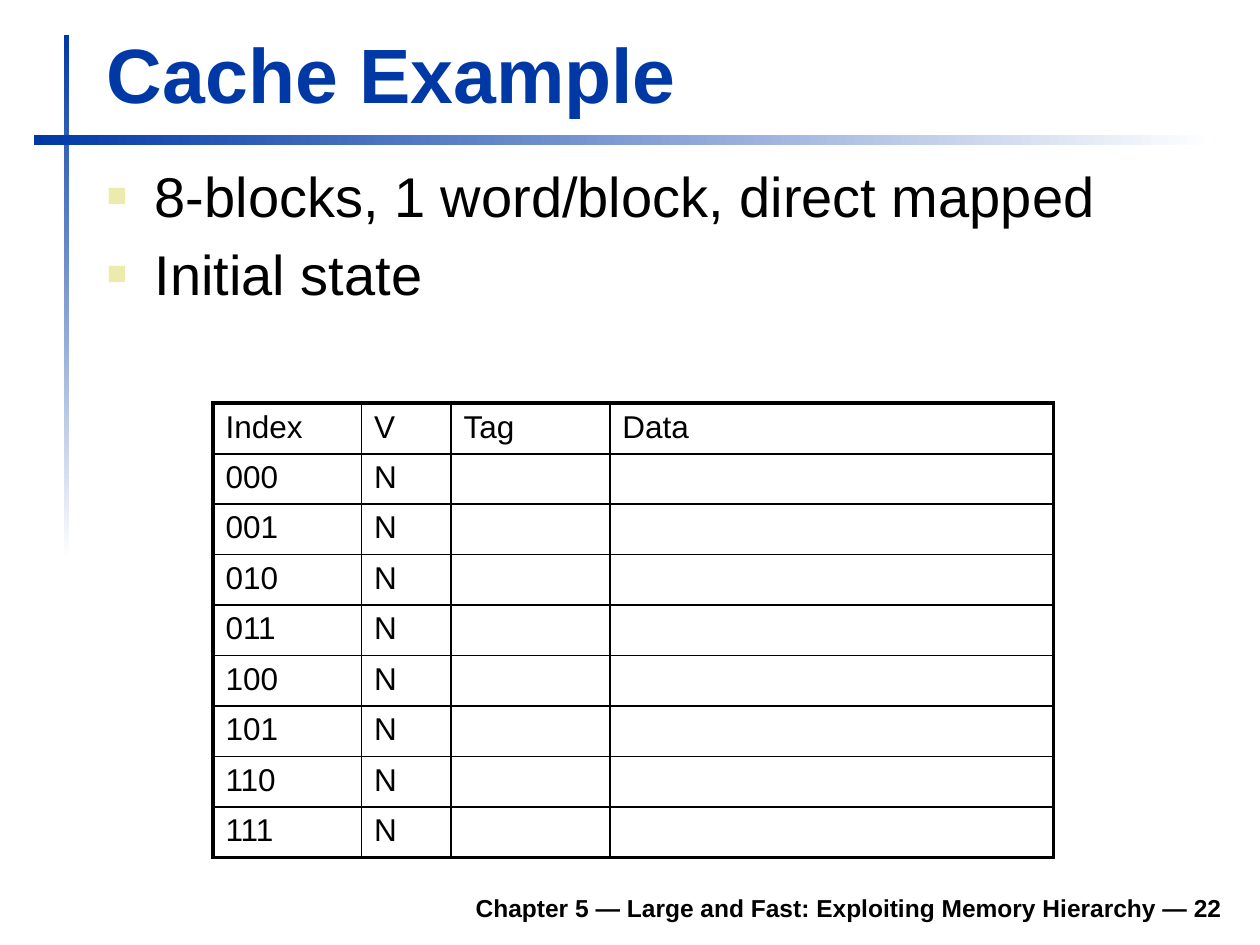
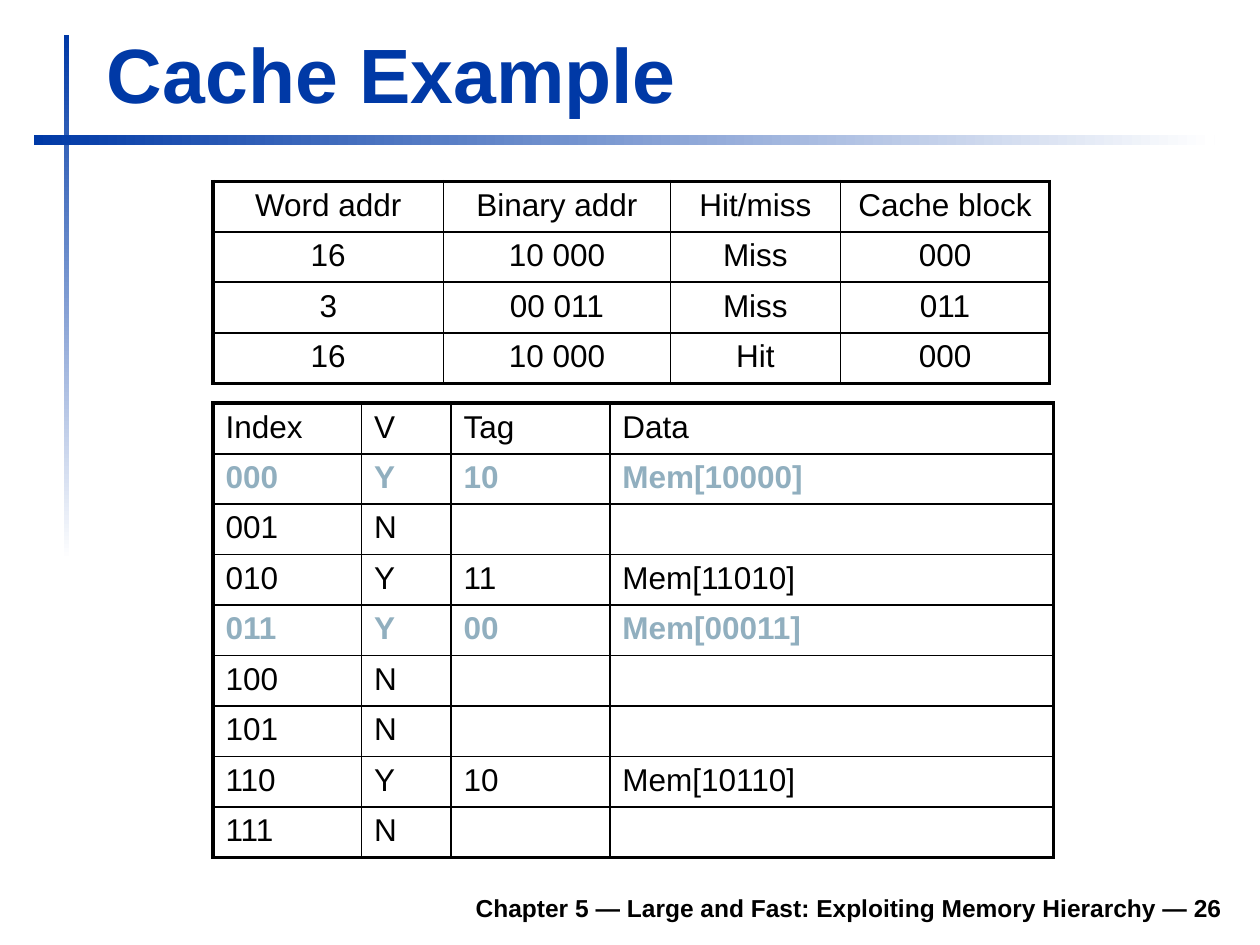
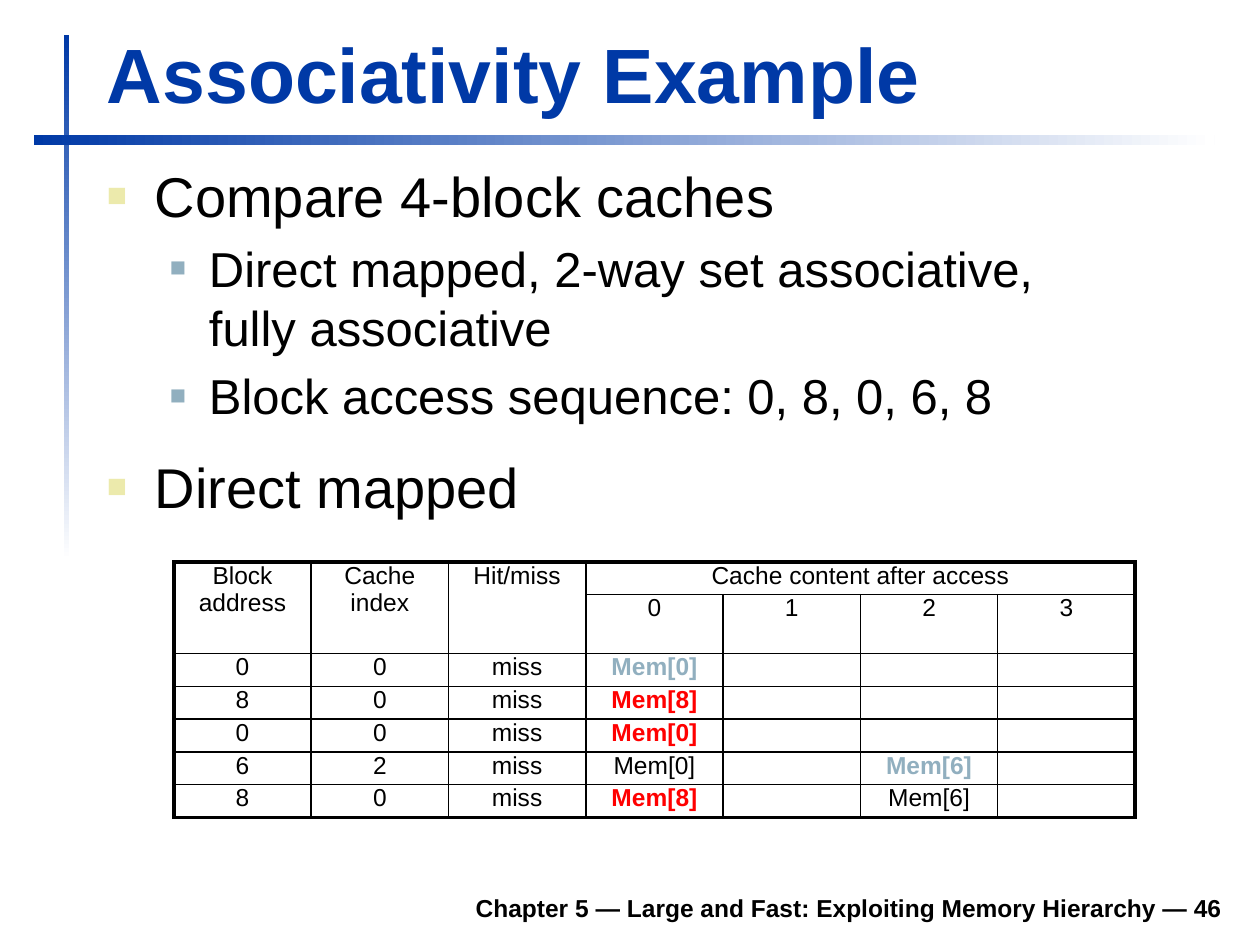
from lxml import etree
from pptx import Presentation
from pptx.dml.color import RGBColor
from pptx.enum import shapes, text
from pptx.oxml import ns
from pptx.util import Inches, Pt

BLUE = RGBColor(0x00, 0x39, 0xA6)
WHITE = RGBColor(0xFF, 0xFF, 0xFF)
BLACK = RGBColor(0x00, 0x00, 0x00)
CREAM = RGBColor(0xEC, 0xEA, 0xAC)
STEEL = RGBColor(0x91, 0xAF, 0xBF)
RED = RGBColor(0xFF, 0x00, 0x00)
FONT = "Arial"
FOOTER = "Chapter 5 — Large and Fast: Exploiting Memory Hierarchy — {}"
LEVELS = [(32, 0.38, 0.38, CREAM, 60), (28, 0.81, 0.31, STEEL, 55)]
OUTER, INNER, RULE = 2.25, 1, 1.5


def node(tag, **attrs):
    return etree.Element(ns.qn(tag), {k: str(v) for k, v in attrs.items()})


def nest(tag, child, **attrs):
    parent = node(tag, **attrs)
    parent.append(child)
    return parent


def color(rgb):
    return node("a:srgbClr", val=rgb)


def style(para, size, rgb=BLACK, bold=False, align=text.PP_ALIGN.LEFT):
    para.alignment = align
    font = para.font
    font.name, font.size, font.bold = FONT, Pt(size), bold
    font.color.rgb = rgb


def space(para, percent):
    gap = nest("a:spcBef", node("a:spcPct", val=percent * 1000))
    para._p.get_or_add_pPr().insert(0, gap)


def frame(slide, box, anchor=text.MSO_ANCHOR.TOP):
    area = slide.shapes.add_textbox(*map(Inches, box)).text_frame
    area.word_wrap = True
    area.vertical_anchor = anchor
    return area


def label(slide, box, words, *look):
    para = frame(slide, box, text.MSO_ANCHOR.BOTTOM).paragraphs[0]
    para.text = words
    style(para, *look)


def band(slide, box, angle):
    bar = slide.shapes.add_shape(shapes.MSO_SHAPE.RECTANGLE, *map(Inches, box))
    bar.shadow.inherit = False
    bar.line.fill.background()
    bar.fill.gradient()
    bar.fill.gradient_angle = angle
    for stop, rgb in zip(bar.fill.gradient_stops, (BLUE, WHITE)):
        stop.color.rgb = rgb


def page(deck, title, number):
    slide = deck.slides.add_slide(deck.slide_layouts[6])
    band(slide, (0.51, 0.28, 0.04, 4.17), 270)
    band(slide, (0.27, 1.07, 9.37, 0.08), 0)
    label(slide, (1.85, 6.98, 7.95, 0.39), FOOTER.format(number),
          14, BLACK, True, text.PP_ALIGN.RIGHT)
    label(slide, (0.75, 0.16, 9.03, 0.83), title, 44, BLUE, True)
    return slide


def bullets(slide, height, items):
    area = frame(slide, (0.75, 1.23, 9.05, height))
    for i, (level, words, gap) in enumerate(items):
        para = area.add_paragraph() if i else area.paragraphs[0]
        size, left, hang, rgb, scale = LEVELS[level]
        para.text = words
        para.level = level
        style(para, size)
        props = para._p.get_or_add_pPr()
        props.set("marL", str(Inches(left)))
        props.set("indent", str(-Inches(hang)))
        marks = [nest("a:buClr", color(rgb)),
                 node("a:buSzPct", val=scale * 1000),
                 node("a:buFont", typeface=FONT),
                 node("a:buChar", char="■")]
        for at, mark in enumerate(marks):
            props.insert(at, mark)
        space(para, gap)


def edges(cell, widths):
    props = cell._tc.get_or_add_tcPr()
    for at, (side, width) in enumerate(zip("LRTB", widths)):
        fill = nest("a:solidFill", color(BLACK))
        props.insert(at, nest(f"a:ln{side}", fill, w=Pt(width)))


def grid(slide, spot, cols, high, rows, size=18, align=text.PP_ALIGN.CENTER,
         pad=0.05, head=RULE, inner=INNER, marks=None, spans=()):
    marks = marks or {}
    box = map(Inches, (*spot, sum(cols), high * len(rows)))
    table = slide.shapes.add_table(len(rows), len(cols), *box).table
    table.first_row = table.horz_banding = False
    for col, width in zip(table.columns, cols):
        col.width = Inches(width)
    for row in table.rows:
        row.height = Inches(high)
    for top, left, bottom, right in spans:
        table.cell(top, left).merge(table.cell(bottom, right))
    lines = [OUTER, head] + [inner] * (len(rows) - 2) + [OUTER]
    posts = [OUTER] + [INNER] * (len(cols) - 1) + [OUTER]
    for r, row in enumerate(rows):
        for c, words in enumerate(row):
            cell = table.cell(r, c)
            cell.fill.background()
            cell.margin_top = cell.margin_bottom = Inches(pad)
            wide = cell.span_width if cell.is_merge_origin else 1
            tall = cell.span_height if cell.is_merge_origin else 1
            edges(cell, (posts[c], posts[c + wide], lines[r], lines[r + tall]))
            para = cell.text_frame.paragraphs[0]
            rgb = marks.get((r, c), BLACK)
            style(para, size, rgb, (r, c) in marks, align)
            space(para, 20)
            if words:
                para.text = words
            else:
                para._p.append(node("a:endParaRPr", sz=size * 100))


def cache(slide, tags, fresh=()):
    rows = [["Index", "V", "Tag", "Data"]]
    for block in range(8):
        index = f"{block:03b}"
        tag = tags.get(index)
        rows.append([index, "Y", tag, f"Mem[{tag}{index}]"] if tag
                    else [index, "N", "", ""])
    marks = {(r, c): STEEL for r, row in enumerate(rows)
             for c in range(4) if row[0] in fresh}
    grid(slide, (1.69, 3.2), (1.18, 0.71, 1.26, 3.52), 0.4, rows,
         align=text.PP_ALIGN.LEFT, marks=marks)


def start(deck):
    slide = page(deck, "Cache Example", 22)
    bullets(slide, 1.46, [(0, "8-blocks, 1 word/block, direct mapped", 20),
                          (0, "Initial state", 20)])
    cache(slide, {})


def access(deck):
    slide = page(deck, "Cache Example", 26)
    cache(slide, {"000": "10", "010": "11", "011": "00", "110": "10"},
          ("000", "011"))
    rows = [["Word addr", "Binary addr", "Hit/miss", "Cache block"],
            ["16", "10 000", "Miss", "000"],
            ["3", "00 011", "Miss", "011"],
            ["16", "10 000", "Hit", "000"]]
    grid(slide, (1.69, 1.44), (1.83, 1.8, 1.35, 1.66), 0.4, rows, inner=RULE)


def compare(deck):
    slide = page(deck, "Associativity Example", 46)
    bullets(slide, 3.07, [
        (0, "Compare 4-block caches", 20),
        (1, "Direct mapped, 2-way set associative,\vfully associative", 20),
        (1, "Block access sequence: 0, 8, 0, 6, 8", 20),
        (0, "Direct mapped", 50)])
    rows = [["Block address", "Cache index", "Hit/miss",
             "Cache content after access", "", "", ""],
            ["", "", "", "0", "1", "2", "3"],
            ["0", "0", "miss", "Mem[0]", "", "", ""],
            ["8", "0", "miss", "Mem[8]", "", "", ""],
            ["0", "0", "miss", "Mem[0]", "", "", ""],
            ["6", "2", "miss", "Mem[0]", "", "Mem[6]", ""],
            ["8", "0", "miss", "Mem[8]", "", "Mem[6]", ""]]
    marks = {(2, 3): STEEL, (3, 3): RED, (4, 3): RED,
             (5, 5): STEEL, (6, 3): RED}
    spans = [(0, c, 1, c) for c in range(3)] + [(0, 3, 0, 6)]
    grid(slide, (1.38, 4.46), [1.09] * 7, 0.26, rows, size=14, pad=0,
         head=INNER, marks=marks, spans=spans)


def main():
    deck = Presentation()
    deck.slide_width, deck.slide_height = Inches(10), Inches(7.5)
    for build in (start, access, compare):
        build(deck)
    deck.save("out.pptx")


if __name__ == "__main__":
    main()
